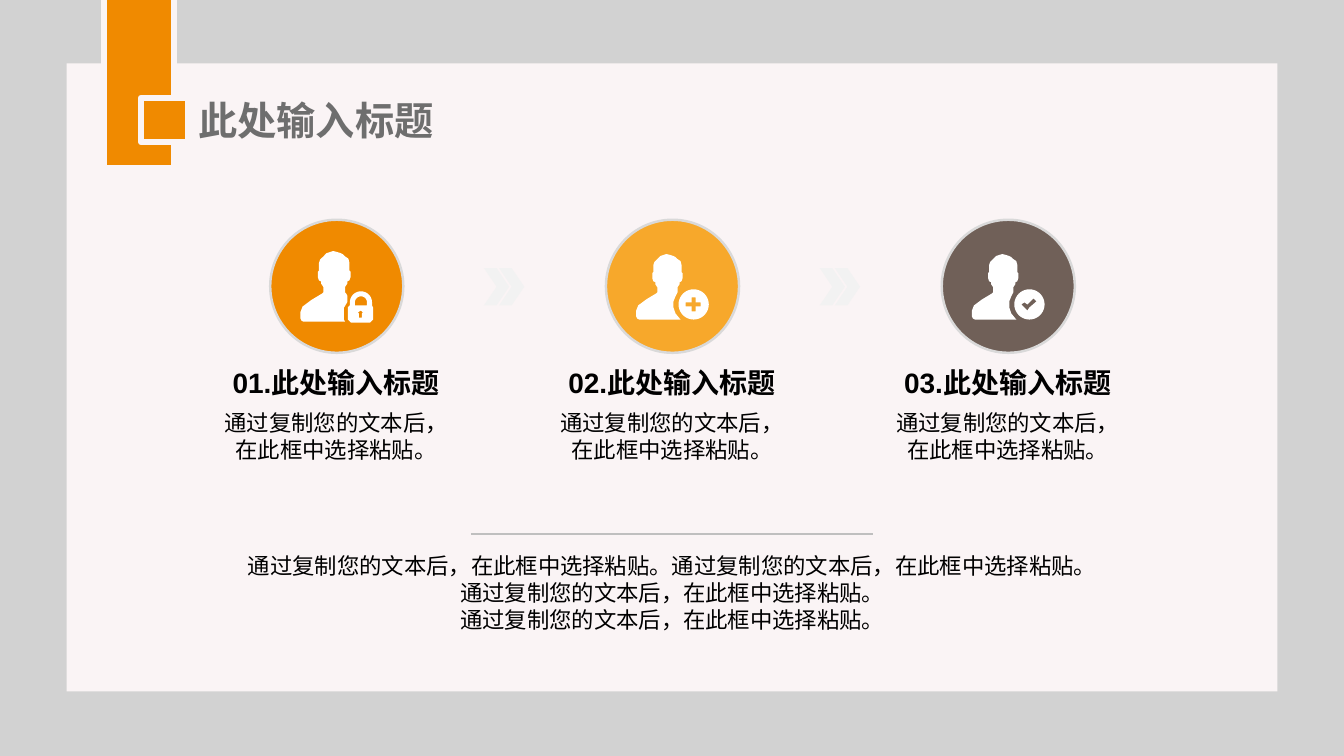
from math import cos, pi, sin

from lxml import etree
from pptx import Presentation
from pptx.dml.color import RGBColor
from pptx.enum import shapes, text
from pptx.util import Inches, Pt

ORANGE, AMBER, BROWN = "F08A00", "F7A82B", "706058"
PANEL, WHITE, BLACK = "FAF4F5", "FFFFFF", "000000"
SENTENCE = "通过复制您的文本后，在此框中选择粘贴。"
TITLE = "此处输入标题"
KIND = shapes.MSO_SHAPE

presentation = Presentation()
presentation.slide_width, presentation.slide_height = Inches(13.33), Inches(7.5)
slide = presentation.slides.add_slide(presentation.slide_layouts[6])


def add_shape(kind, box, fill, line=None, width=0):
    shape = slide.shapes.add_shape(kind, *map(Inches, box))
    shape.shadow.inherit = False
    shape.fill.solid()
    shape.fill.fore_color.rgb = RGBColor.from_string(fill)
    if line:
        shape.line.color.rgb = RGBColor.from_string(line)
        shape.line.width = Pt(width)
    else:
        shape.line.fill.background()


def add_text(box, lines, size, color=BLACK, bold=False, align="CENTER", anchor="TOP", spacing=None):
    frame = slide.shapes.add_textbox(*map(Inches, box)).text_frame
    frame.word_wrap = True
    frame.vertical_anchor = text.MSO_ANCHOR[anchor]
    frame.text = "\n".join(lines)
    for paragraph in frame.paragraphs:
        paragraph.alignment = text.PP_ALIGN[align]
        paragraph.line_spacing = spacing
        paragraph.font.name = "Arial"
        paragraph.font.size = Pt(size)
        paragraph.font.bold = bold
        paragraph.font.color.rgb = RGBColor.from_string(color)


# Background and lower note
add_shape(KIND.RECTANGLE, (0, 0, 13.33, 7.5), "D2D2D2")
add_shape(KIND.RECTANGLE, (0.66, 0.63, 12.01, 6.23), PANEL)
add_text((0.74, 5.43, 11.86, 0.8), [SENTENCE * 2, SENTENCE, SENTENCE], 16)

# Icon outlines, in inches from the icon's top left corner
head_right = [(0.3, 0), (0.34, 0.01), (0.37, 0.02), (0.39, 0.03), (0.41, 0.05), (0.44, 0.07),
              (0.45, 0.11), (0.45, 0.18), (0.46, 0.19), (0.46, 0.24), (0.45, 0.27),
              (0.43, 0.28), (0.43, 0.3), (0.41, 0.33), (0.41, 0.38)]
body_left = [(0.03, 0.65), (0.01, 0.64), (0, 0.62), (0, 0.56), (0.02, 0.51), (0.1, 0.45),
             (0.2, 0.39), (0.21, 0.38), (0.21, 0.33), (0.19, 0.3), (0.19, 0.28), (0.17, 0.27),
             (0.16, 0.24), (0.16, 0.19), (0.17, 0.18), (0.17, 0.11), (0.18, 0.08),
             (0.21, 0.05), (0.24, 0.02), (0.27, 0.01)]
lock_cut = [(0.42, 0.39), (0.43, 0.41), (0.43, 0.47), (0.4, 0.52), (0.4, 0.63), (0.41, 0.65)]
badge_cut = [(0.39, 0.42), (0.37, 0.47), (0.37, 0.53), (0.39, 0.59), (0.44, 0.65)]

circle = [(cos(step * pi / 20), -sin(step * pi / 20)) for step in range(40)]
disc = [(0.57 + 0.15 * x, 0.5 + 0.15 * y) for x, y in circle]
shackle_outer, shackle_inner = (
    [(0.6 + r * x, 0.51 + r * y) for x, y in circle[20::-1]] for r in (0.11, 0.06))
lock = [
    [(0.49, 0.54)] + shackle_outer + [(0.71, 0.54), (0.72, 0.56), (0.72, 0.68), (0.69, 0.71),
                                      (0.5, 0.71), (0.47, 0.68), (0.47, 0.56)],
    [(0.54, 0.54)] + shackle_inner + [(0.66, 0.54)],
    [(0.57, 0.61), (0.6, 0.59), (0.62, 0.61), (0.61, 0.62), (0.61, 0.66), (0.58, 0.66), (0.58, 0.62)],
]
plus = [(0.55, 0.43), (0.55, 0.48), (0.49, 0.48), (0.49, 0.52), (0.55, 0.52), (0.55, 0.57),
        (0.59, 0.57), (0.59, 0.52), (0.64, 0.52), (0.64, 0.48), (0.59, 0.48), (0.59, 0.43)]
check = [(0.61, 0.44), (0.55, 0.5), (0.52, 0.48), (0.49, 0.5), (0.55, 0.56), (0.57, 0.53), (0.64, 0.47)]

# Three steps: colour, icon top, person scale, cut in the person, badge
steps = [
    (ORANGE, 2.49, 1.08, lock_cut, lock),
    (AMBER, 2.52, 1, badge_cut, [disc, plus]),
    (BROWN, 2.52, 1, badge_cut, [disc, check]),
]
for index, (color, icon_top, scale, cut, badge) in enumerate(steps):
    left = 2.06 + 3.33 * index
    add_shape(KIND.OVAL, (left + 0.62, 2.18, 1.32, 1.32), color, "D9D9D9", 1.75)

    person = [(x * scale, y * scale) for x, y in head_right + cut + body_left]
    contours = [[(Inches(left + 0.92 + x), Inches(icon_top + y)) for x, y in contour]
                for contour in [person] + badge]
    builder = slide.shapes.build_freeform(*contours[0][0])
    for contour in contours:
        builder.move_to(*contour[0])
        builder.add_line_segments(contour[1:], close=True)
    icon = builder.convert_to_shape()
    icon.shadow.inherit = False
    icon.fill.solid()
    icon.fill.fore_color.rgb = RGBColor.from_string(WHITE)
    icon.line.fill.background()

    add_text((left, 3.54, 2.55, 0.47), [f"0{index + 1}.{TITLE}"], 20, bold=True,
             anchor="BOTTOM", spacing=1.3)
    add_text((left, 4.01, 2.55, 0.63), [SENTENCE], 16)

# Divider and arrows between the steps
divider = slide.shapes.add_connector(
    shapes.MSO_CONNECTOR.STRAIGHT, Inches(4.67), Inches(5.3), Inches(8.66), Inches(5.3))
divider.line.color.rgb = RGBColor.from_string("BFBFBF")
divider.line.width = Pt(1.5)
etree.SubElement(divider._element.spPr,
                 "{http://schemas.openxmlformats.org/drawingml/2006/main}effectLst")
for arrow_left in (4.8, 8.13):
    for offset in (0, 0.15):
        add_shape(KIND.CHEVRON, (arrow_left + offset, 2.66, 0.25, 0.37), "F2F2F2")

# Title with its ribbon
add_shape(KIND.RECTANGLE, (1.03, -0.22, 0.7, 1.89), ORANGE, PANEL, 4.5)
add_text((1.87, 1, 3.16, 0.38), [TITLE], 28, "6E6E6E", True, "LEFT", "MIDDLE")
add_shape(KIND.RECTANGLE, (1.4, 0.97, 0.47, 0.44), ORANGE, PANEL, 4.5)

presentation.save("out.pptx")
